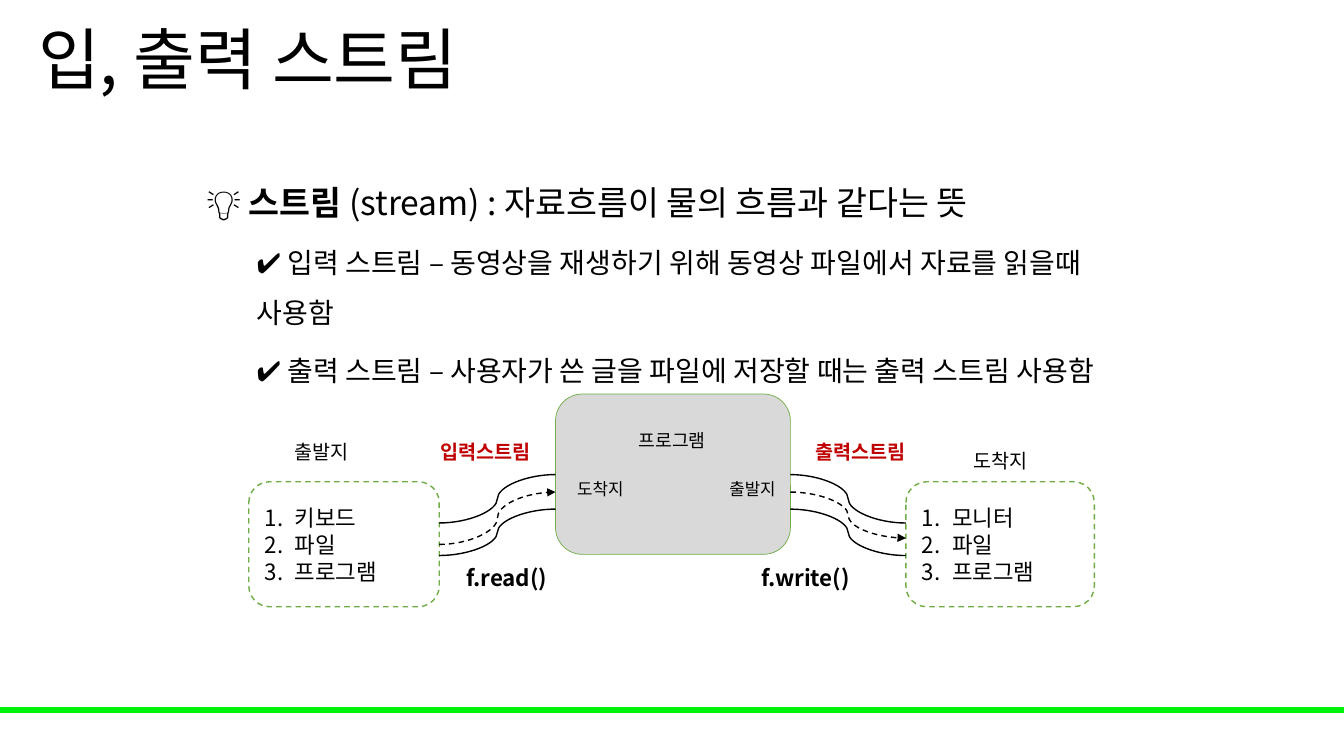
from dataclasses import dataclass
from pptx import Presentation
from pptx.dml.color import RGBColor
from pptx.enum.dml import MSO_LINE
from pptx.enum.shapes import MSO_CONNECTOR, MSO_SHAPE
from pptx.enum.text import MSO_ANCHOR, PP_ALIGN
from pptx.oxml.ns import qn
from pptx.util import Cm, Pt
from lxml.etree import SubElement


@dataclass(frozen=True)
class Theme:
    font: str = "Noto Sans CJK KR"
    ink: str = "000000"
    accent: str = "C00000"
    green: str = "70AD47"
    panel: str = "D9D9D9"
    rule: str = "00F209"
    title: int = 48
    heading: int = 24
    body: int = 20
    item: int = 16
    label: int = 14
    program: int = 13
    port: int = 12


T = Theme()
TITLE = "입, 출력 스트림"
HEADING = [("💡 스트림 ", True), ("(stream) : 자료흐름이 물의 흐름과 같다는 뜻", False)]
POINTS = [
    "✔️ 입력 스트림 – 동영상을 재생하기 위해 동영상 파일에서 자료를 읽을때 사용함",
    "✔️ 출력 스트림 – 사용자가 쓴 글을 파일에 저장할 때는 출력 스트림 사용함",
]
PROGRAM = (14, 9.93, 5.92, 4.04)
ENDPOINTS = [
    ((6.27, 12.14, 4.8, 3.15), ["키보드", "파일", "프로그램"]),
    ((22.83, 12.14, 4.75, 3.15), ["모니터", "파일", "프로그램"]),
]
CENTER, LEFT = PP_ALIGN.CENTER, PP_ALIGN.LEFT
LABELS = [
    ("프로그램", (15.49, 10.69, 2.9, 1.04), T.program, T.ink, False, CENTER),
    ("도착지", (14, 11.94, 2.26, 0.99), T.port, T.ink, False, CENTER),
    ("출발지", (17.86, 11.94, 2.21, 0.99), T.port, T.ink, False, CENTER),
    ("출발지", (6.96, 10.97, 2.31, 1.09), T.label, T.ink, False, CENTER),
    ("도착지", (24.05, 11.18, 2.31, 1.09), T.label, T.ink, False, CENTER),
    ("입력스트림", (10.29, 10.95, 3.89, 1.09), T.label, T.accent, True, CENTER),
    ("출력스트림", (19.99, 10.97, 3.38, 1.09), T.label, T.accent, True, CENTER),
    ("f.read()", (11.51, 14.1, 4.04, 1.19), T.item, T.ink, True, LEFT),
    ("f.write()", (18.95, 14.1, 3.18, 1.19), T.item, T.ink, True, LEFT),
]
PROGRAM_YS = (11.96, 12.4, 12.83)
SOURCE_YS = (13.18, 13.72, 14)
TARGET_YS = (13.18, 13.56, 14)


def rgb(color):
    return RGBColor.from_string(color)


def style(p, size, color=T.ink, bold=False):
    f = p.font
    f.size, f.name, f.bold = Pt(size), T.font, bold
    f.color.rgb = rgb(color)
    SubElement(p._p.pPr.find(qn("a:defRPr")), qn("a:ea")).set("typeface", T.font)


def indent(p, left, first=0):
    p_pr = p._p.get_or_add_pPr()
    p_pr.set("marL", str(Cm(left)))
    p_pr.set("indent", str(Cm(first)))
    return p_pr


def add_text(shapes, box):
    tf = shapes.add_textbox(*map(Cm, box)).text_frame
    tf.word_wrap = True
    return tf


def add_shape(shapes, kind, box, line, width, fill=None, dashed=False):
    sp = shapes.add_shape(kind, *map(Cm, box))
    sp.shadow.inherit = False
    sp.line.color.rgb, sp.line.width = rgb(line), Pt(width)
    if dashed:
        sp.line.dash_style = MSO_LINE.DASH
    if fill:
        sp.fill.solid()
        sp.fill.fore_color.rgb = rgb(fill)
    else:
        sp.fill.background()
    return sp


def add_label(shapes, text, box, size, color, bold, align):
    p = add_text(shapes, box).paragraphs[0]
    p.text, p.alignment = text, align
    style(p, size, color, bold)


def add_endpoint(shapes, box, items):
    sp = add_shape(shapes, MSO_SHAPE.ROUNDED_RECTANGLE, box, T.green, 1, dashed=True)
    tf = sp.text_frame
    tf.vertical_anchor = MSO_ANCHOR.MIDDLE
    for i, item in enumerate(items):
        p = tf.add_paragraph() if i else tf.paragraphs[0]
        p.text, p.alignment = item, LEFT
        SubElement(indent(p, 0.76, -0.76), qn("a:buAutoNum")).set("type", "arabicPeriod")
        style(p, T.item)


def add_stream(shapes, x1, x2, starts, ends):
    for i, (y1, y2) in enumerate(zip(starts, ends)):
        c = shapes.add_connector(MSO_CONNECTOR.CURVE, *map(Cm, (x1, y1, x2, y2)))
        c.line.color.rgb, c.line.width = rgb(T.ink), Pt(1)
        if i == 1:
            c.line.dash_style = MSO_LINE.DASH
            SubElement(c.line._get_or_add_ln(), qn("a:tailEnd")).set("type", "triangle")
        SubElement(c._element.spPr, qn("a:effectLst"))


def add_body(shapes):
    tf = add_text(shapes, (4.95, 3.94, 23.98, 5.05))
    p = tf.paragraphs[0]
    p.line_spacing = 1.5
    style(p, T.heading)
    for text, bold in HEADING:
        r = p.add_run()
        r.text, r.font.bold = text, bold
    for point in POINTS:
        p = tf.add_paragraph()
        p.text, p.level, p.line_spacing, p.space_before = point, 1, 1.5, Pt(5)
        indent(p, 1.27)
        style(p, T.body)


def add_diagram(shapes):
    add_shape(shapes, MSO_SHAPE.ROUNDED_RECTANGLE, PROGRAM, T.green, 0.5, T.panel)
    for box, items in ENDPOINTS:
        add_endpoint(shapes, box, items)
    (source, _), (target, _) = ENDPOINTS
    add_stream(shapes, source[0] + source[2], PROGRAM[0], SOURCE_YS, PROGRAM_YS)
    add_stream(shapes, PROGRAM[0] + PROGRAM[2], target[0], PROGRAM_YS, TARGET_YS)
    for label in LABELS:
        add_label(shapes, *label)


def add_title(shapes):
    tf = add_text(shapes, (0.71, 0, 29.21, 3.18))
    tf.vertical_anchor = MSO_ANCHOR.MIDDLE
    p = tf.paragraphs[0]
    p.text, p.line_spacing = TITLE, 0.9
    style(p, T.title)


def main():
    prs = Presentation()
    prs.slide_width, prs.slide_height = Cm(33.87), Cm(19.05)
    shapes = prs.slides.add_slide(prs.slide_layouts[6]).shapes
    add_shape(shapes, MSO_SHAPE.RECTANGLE, (0, 17.83, 33.87, 0.13), T.rule, 1, T.rule)
    add_body(shapes)
    add_diagram(shapes.add_group_shape().shapes)
    add_title(shapes)
    prs.save("out.pptx")


if __name__ == "__main__":
    main()
